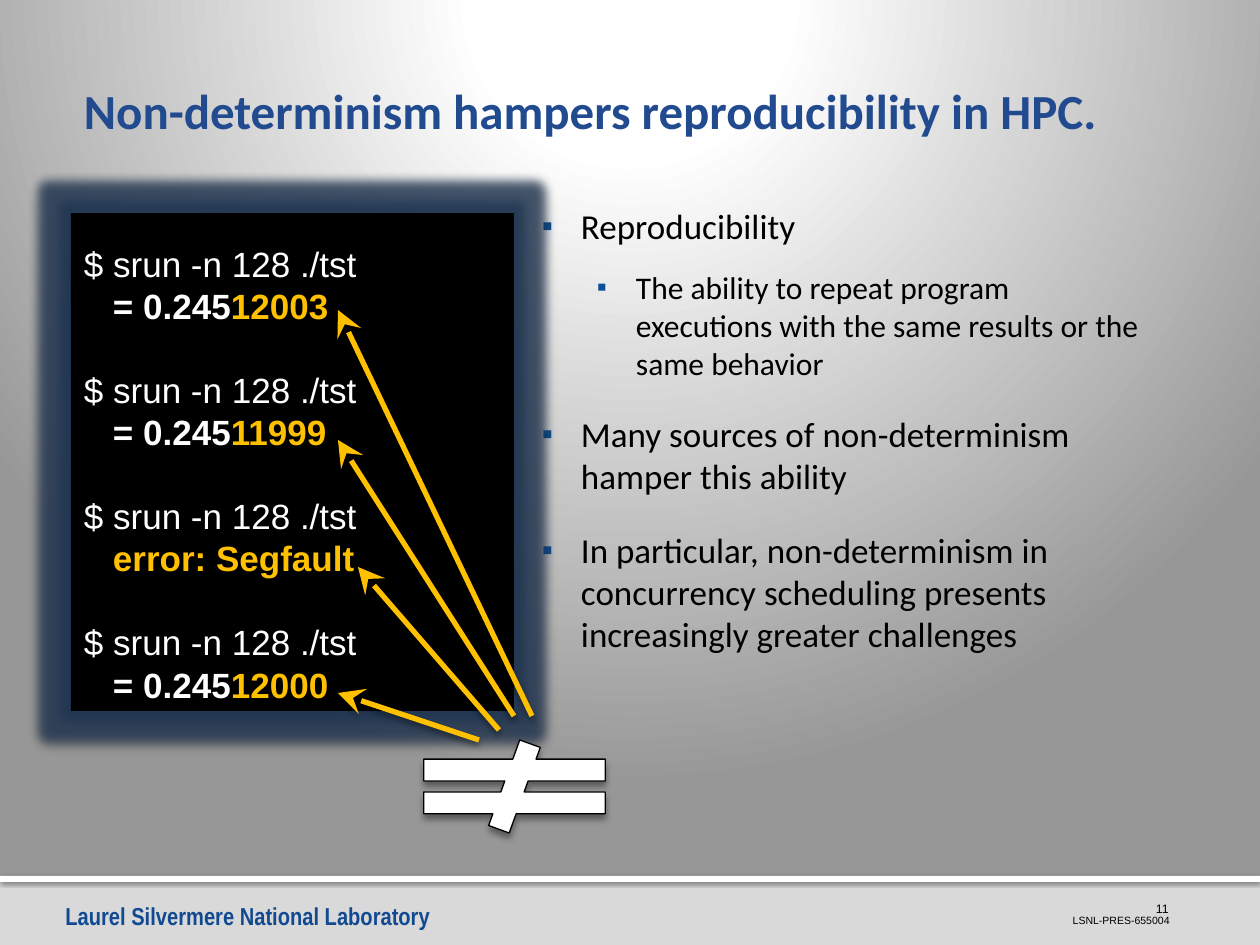
from pptx import Presentation
from pptx.dml.color import RGBColor
from pptx.enum.shapes import MSO_CONNECTOR, MSO_SHAPE
from pptx.enum.text import MSO_ANCHOR, MSO_AUTO_SIZE, PP_ALIGN
from pptx.oxml import parse_xml
from pptx.oxml.ns import nsdecls
from pptx.util import Pt

EMU_PER_PX = 914400 / 126
BLACK, WHITE, GOLD, BLUE = "000000", "FFFFFF", "FFC000", "124A91"
INSETS = ("margin_left", "margin_top", "margin_right", "margin_bottom")


def px(n):
    return round(n * EMU_PER_PX)


def rgb(value):
    return RGBColor.from_string(value)


def apply(obj, values):
    for name, value in values.items():
        setattr(obj, name, value)


def xml(tag, body):
    return parse_xml(f'<{tag} {nsdecls("a", "p")}>{body}</{tag}>')


def tint(color, alpha=100):
    return f'<a:srgbClr val="{color}"><a:alpha val="{alpha * 1000}"/></a:srgbClr>'


class Deck:
    shadow = (38, 3.1, 2)
    title_font = dict(name="Calibri", size=Pt(28), bold=True)
    body_font = dict(name="Calibri")
    code_font = dict(name="Arial", size=Pt(20))

    def __init__(self, prs):
        self.s = prs.slides.add_slide(prs.slide_layouts[1])

    def background(self, stops, rect):
        gs = "".join(f'<a:gs pos="{pos * 1000}">{tint(c)}</a:gs>' for pos, c in stops)
        edges = " ".join(f'{k}="{v * 1000}"' for k, v in zip("ltrb", rect))
        bg = xml("p:bg", f'<p:bgPr><a:gradFill rotWithShape="1"><a:gsLst>{gs}</a:gsLst>'
                         f'<a:path path="circle"><a:fillToRect {edges}/></a:path>'
                         '</a:gradFill><a:effectLst/></p:bgPr>')
        self.s.element.cSld.insert(0, bg)

    def effects(self, sp, shadow, glow=""):
        alpha, blur, dist = shadow
        sp.element.spPr.append(xml(
            "a:effectLst",
            f'{glow}<a:outerShdw blurRad="{Pt(blur)}" dist="{Pt(dist)}" dir="5400000" '
            f'rotWithShape="0">{tint(BLACK, alpha)}</a:outerShdw>'))

    def shape(self, kind, box, fill, shadow=shadow, line=None, glow=""):
        sp = self.s.shapes.add_shape(kind, *map(px, box))
        sp.fill.solid()
        sp.fill.fore_color.rgb = rgb(fill)
        if line:
            sp.line.color.rgb = rgb(line)
            sp.line.width = Pt(0.75)
        else:
            sp.line.fill.background()
        self.effects(sp, shadow, glow)
        return sp

    def arrow(self, start, end):
        c = self.s.shapes.add_connector(MSO_CONNECTOR.STRAIGHT, *map(px, start + end))
        c.line.color.rgb = rgb(GOLD)
        c.line.width = Pt(3)
        c.line._get_or_add_ln().append(
            parse_xml(f'<a:tailEnd {nsdecls("a")} type="stealth" w="lg" len="lg"/>'))
        self.effects(c, (38, 3.5, 2))

    def run(self, p, text, color, font):
        r = p.add_run()
        r.text = text
        apply(r.font, font)
        r.font.color.rgb = rgb(color)

    def indent(self, p, left, first=0):
        pPr = p._p.get_or_add_pPr()
        pPr.set("marL", str(px(left)))
        pPr.set("indent", str(px(first)))
        return pPr

    def label(self, box, text, color, font, align=PP_ALIGN.LEFT, **frame):
        tf = self.s.shapes.add_textbox(*map(px, box)).text_frame
        apply(tf, dict(word_wrap=True) | frame)
        tf.paragraphs[0].alignment = align
        self.run(tf.paragraphs[0], text, color, font)

    def place(self, sp, box, insets, anchor):
        apply(sp, dict(zip(("left", "top", "width", "height"), map(px, box))))
        tf = sp.text_frame
        apply(tf, dict(zip(INSETS, map(px, insets))))
        apply(tf, dict(vertical_anchor=anchor, word_wrap=True, auto_size=MSO_AUTO_SIZE.NONE))
        return tf

    def title(self, box, text):
        tf = self.place(self.s.shapes.title, box, (13, 6, 6, 6), MSO_ANCHOR.BOTTOM)
        p = tf.paragraphs[0]
        apply(p, dict(alignment=PP_ALIGN.LEFT, line_spacing=Pt(38)))
        self.run(p, text, "214A8F", self.title_font)

    def bullets(self, box, items):
        tf = self.place(self.s.placeholders[1], box, (8, 13, 13, 6), MSO_ANCHOR.TOP)
        for i, (level, text) in enumerate(items):
            p = tf.add_paragraph() if i else tf.paragraphs[0]
            apply(p, dict(level=level, space_before=Pt(12 - 6 * level), space_after=Pt(6)))
            pPr = self.indent(p, 55 + 55 * level, -39)
            for tag, attrs, body in (("buClr", "", tint("0D5097")),
                                     ("buSzPct", 'val="90000"', ""),
                                     ("buFont", 'typeface="Arial"', ""),
                                     ("buChar", 'char="▪"', "")):
                pPr.append(parse_xml(f'<a:{tag} {nsdecls("a")} {attrs}>{body}</a:{tag}>'))
            self.run(p, text, BLACK, self.body_font | dict(size=Pt(20 - 2 * level)))

    def terminal(self, box, command, results):
        glow = f'<a:glow rad="{Pt(12)}">{tint("1F3552", 75)}</a:glow>'
        sp = self.shape(MSO_SHAPE.RECTANGLE, box, BLACK, glow=glow)
        tf = self.place(sp, box, (13, 6, 13, 6), MSO_ANCHOR.BOTTOM)
        for i, (same, differing) in enumerate(results):
            p = tf.add_paragraph() if i else tf.paragraphs[0]
            apply(p, dict(alignment=PP_ALIGN.LEFT, space_before=Pt(24 if i else 0)))
            self.run(p, command, WHITE, self.code_font)
            p = tf.add_paragraph()
            p.alignment = PP_ALIGN.LEFT
            self.indent(p, 29)
            for text, color in ((same, WHITE), (differing, GOLD)):
                if text:
                    self.run(p, text, color, self.code_font | dict(bold=True))


def main():
    prs = Presentation()
    apply(prs, dict(slide_width=px(1260), slide_height=px(945)))
    d = Deck(prs)
    d.background([(0, WHITE), (20, WHITE), (100, "979797")], (10, -25, 10, 125))

    d.shape(MSO_SHAPE.RECTANGLE, (0, 876, 1260, 69), "D9D9D9")
    d.shape(MSO_SHAPE.RECTANGLE, (0, 876, 1260, 6), WHITE, (60, 2.5, 0.8))
    d.label((53, 895, 421, 43), "Laurel Silvermere National Laboratory", BLUE,
            dict(name="Arial Narrow", size=Pt(14), bold=True))
    d.label((1072, 908, 110, 19), "LSNL-PRES-655004", BLACK,
            dict(name="Arial", size=Pt(6)), PP_ALIGN.RIGHT, word_wrap=False,
            margin_left=0, margin_bottom=0, vertical_anchor=MSO_ANCHOR.BOTTOM)
    d.label((1132, 895, 49, 21), "11", BLACK,
            dict(name="Arial", size=Pt(7)), PP_ALIGN.RIGHT)

    d.title((71, 58, 1134, 87), "Non-determinism hampers reproducibility in HPC.")
    d.bullets((518, 192, 644, 464), [
        (0, "Reproducibility"),
        (1, "The ability to repeat program executions with the same results or the same behavior"),
        (0, "Many sources of non-determinism hamper this ability"),
        (0, "In particular, non-determinism in concurrency scheduling presents "
            "increasingly greater challenges"),
    ])
    d.terminal((71, 213, 443, 498), "$ srun -n 128 ./tst", [
        ("= 0.245", "12003"), ("= 0.245", "11999"),
        ("", "error: Segfault"), ("= 0.245", "12000"),
    ])
    for start, end in (((532, 716), (338, 310)), ((514, 716), (338, 440)),
                       ((499, 730), (358, 567)), ((479, 740), (338, 693))):
        d.arrow(start, end)
    d.shape(MSO_SHAPE.MATH_NOT_EQUAL, (391, 740, 247, 93), WHITE, (40, 4, 3), BLACK)
    prs.save("out.pptx")


if __name__ == "__main__":
    main()
